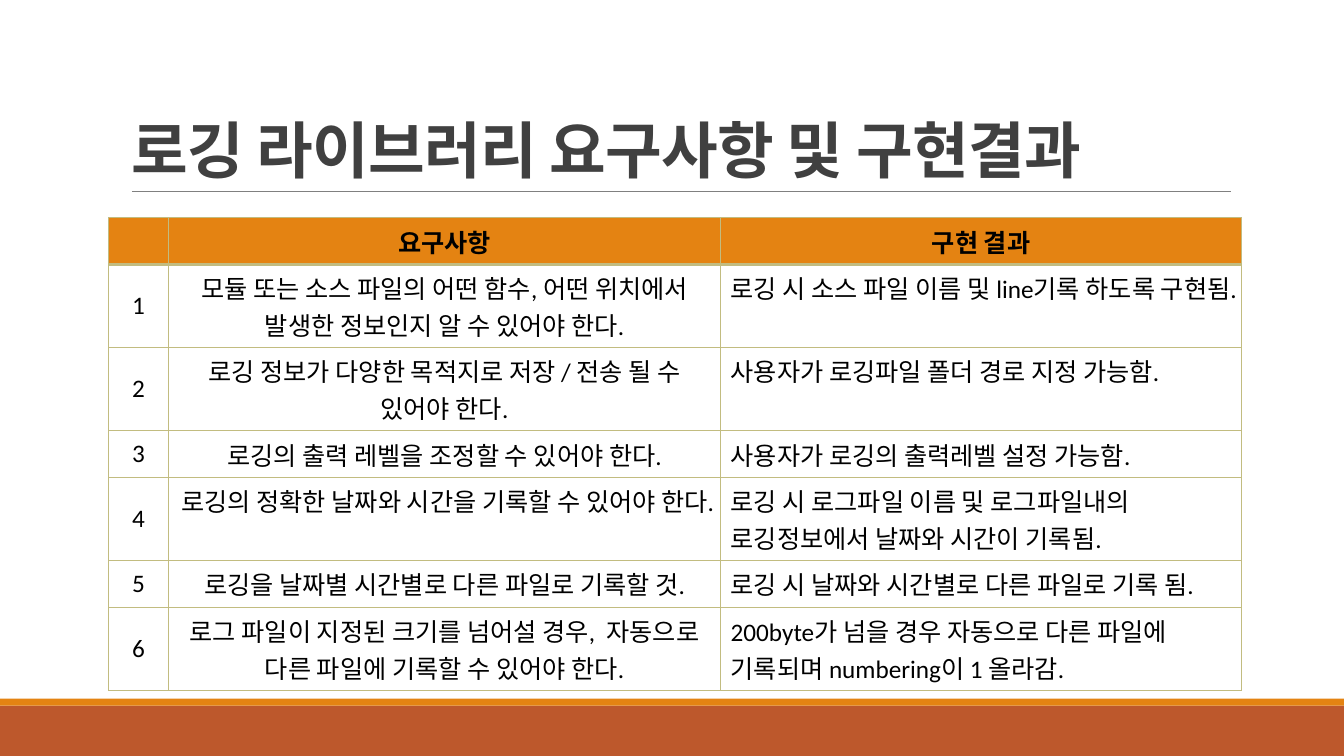
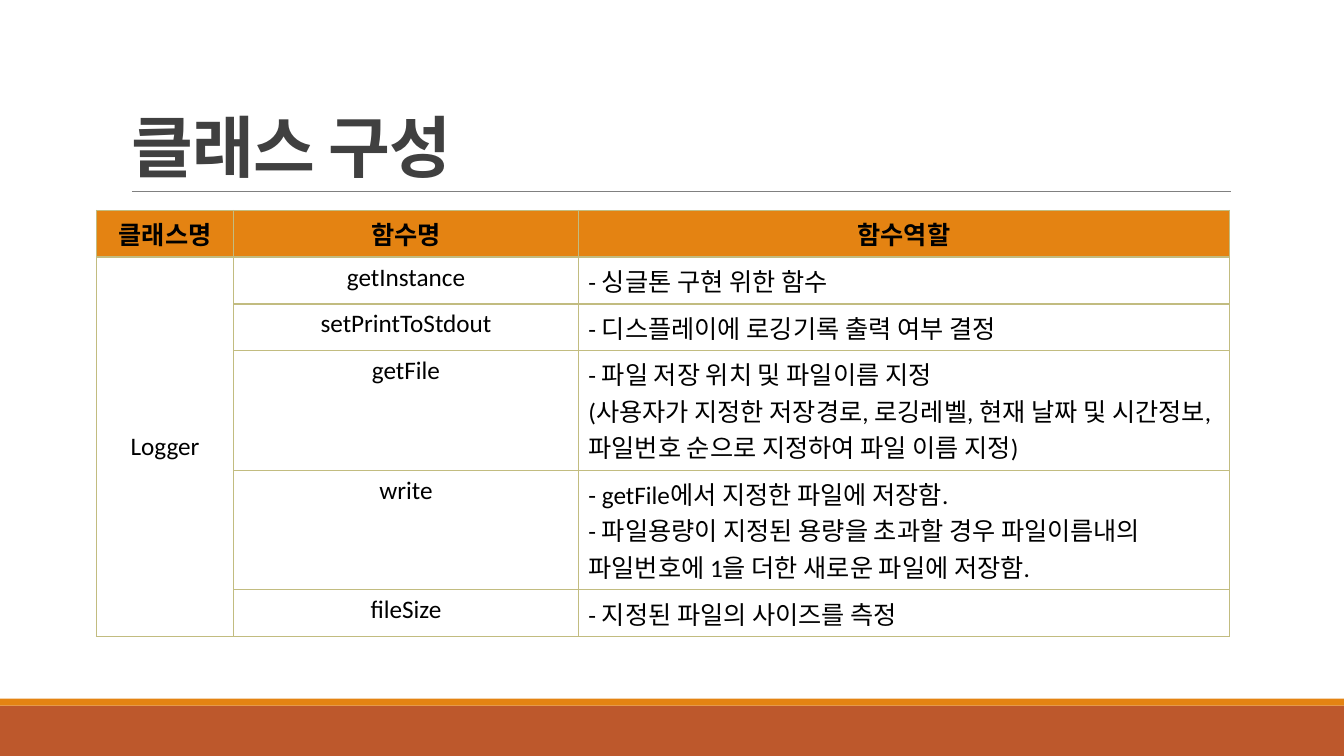
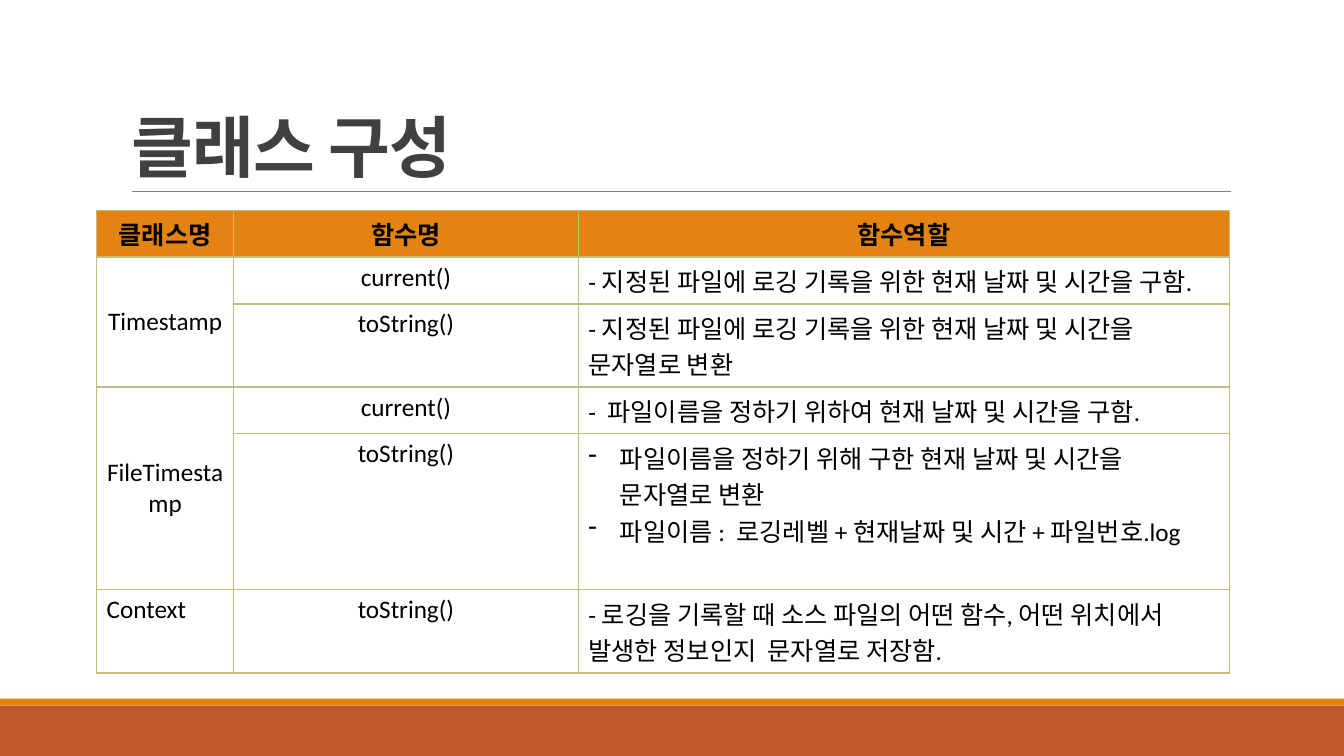
import pptx
import pptx.dml.color
import pptx.enum.shapes
import pptx.enum.text
import pptx.oxml.ns
import pptx.util
from lxml import etree

Pt = pptx.util.Pt
ALIGN = pptx.enum.text.PP_ALIGN
ANCHOR = pptx.enum.text.MSO_ANCHOR
qn = pptx.oxml.ns.qn


def rgb(value):
    return pptx.dml.color.RGBColor.from_string(value)


class Deck:
    WIDTH, HEIGHT = 960, 540
    ORANGE, RUST = "E48312", "BD582C"
    RULE, BORDER = "808080", "C2BC80"
    TITLE = {"name": "Calibri", "bold": True}
    HEADER = {"name": "Calibri", "size": Pt(18), "bold": True}
    BODY = {"name": "Calibri", "size": Pt(18), "bold": False}

    def __init__(self):
        self.prs = pptx.Presentation()
        self.prs.slide_width, self.prs.slide_height = Pt(self.WIDTH), Pt(self.HEIGHT)
        self.s = None

    def slide(self, title, size):
        self.s = self.prs.slides.add_slide(self.prs.slide_layouts[5])
        self.band(504, 36, self.RUST)
        self.band(499, 5, self.ORANGE)
        self.rule(94.3, 879.1, 136.8)
        self.title(title, size)

    def band(self, top, height, color):
        sp = self.s.shapes.add_shape(
            pptx.enum.shapes.MSO_SHAPE.RECTANGLE, 0, Pt(top), Pt(self.WIDTH), Pt(height))
        sp.shadow.inherit = False
        sp.fill.solid()
        sp.fill.fore_color.rgb = rgb(color)
        sp.line.fill.background()

    def rule(self, left, right, y):
        line = self.s.shapes.add_connector(
            pptx.enum.shapes.MSO_CONNECTOR.STRAIGHT, Pt(left), Pt(y), Pt(right), Pt(y))
        line.line.color.rgb = rgb(self.RULE)
        line.line.width = Pt(0.5)
        etree.SubElement(line._element.spPr, qn("a:effectLst"))

    def font(self, r, style, color):
        for name, value in style.items():
            setattr(r.font, name, value)
        r.font.color.rgb = rgb(color)

    def title(self, text, size):
        sp = self.s.shapes.title
        sp.left, sp.top, sp.width, sp.height = Pt(86.4), Pt(22.3), Pt(792), Pt(114.5)
        tf = sp.text_frame
        tf.word_wrap = True
        tf.auto_size = pptx.enum.text.MSO_AUTO_SIZE.NONE
        tf.vertical_anchor = ANCHOR.BOTTOM
        p = tf.paragraphs[0]
        p.alignment, p.line_spacing = ALIGN.LEFT, 0.85
        r = p.add_run()
        r.text = text
        self.font(r, {**self.TITLE, "size": Pt(size)}, "404040")
        r._r.get_or_add_rPr().set("spc", "-50")

    def borders(self, cell, bottom):
        tcPr = cell._tc.get_or_add_tcPr()
        for side, width in {"L": 1, "R": 1, "T": 1, "B": bottom}.items():
            ln = etree.SubElement(tcPr, qn(f"a:ln{side}"), w=str(Pt(width)))
            fill = etree.SubElement(ln, qn("a:solidFill"))
            etree.SubElement(fill, qn("a:srgbClr"), val=self.BORDER)

    def dash(self, p):
        """Give the paragraph a hanging dash bullet."""
        pPr = p._p.get_or_add_pPr()
        pPr.set("marL", str(Pt(22.5)))
        pPr.set("indent", str(-Pt(22.5)))
        etree.SubElement(pPr, qn("a:buChar"), char="-")

    def cell_text(self, cell, text, style, align):
        """Write a string, or a list as dash bullets, into a cell."""
        bulleted = isinstance(text, list)
        tf = cell.text_frame
        for i, part in enumerate(text if bulleted else text.split("\n")):
            p = tf.add_paragraph() if i else tf.paragraphs[0]
            p.alignment = align
            if bulleted:
                self.dash(p)
            if part:
                r = p.add_run()
                r.text = part
                self.font(r, style, "000000")

    def place(self, cell, align, anchor):
        cell.vertical_anchor = anchor
        for p in cell.text_frame.paragraphs:
            p.alignment = align

    def table(self, left, top, widths, header, rows):
        """rows holds (line count, texts); None continues the cell above."""
        rows = [(1, header)] + rows
        heights = [7.4 + 26 * lines for lines, _ in rows]
        table = self.s.shapes.add_table(
            len(rows), len(widths), Pt(left), Pt(top),
            Pt(sum(widths)), Pt(sum(heights))).table
        table.first_row = table.horz_banding = False
        for column, width in zip(table.columns, widths):
            column.width = Pt(width)
        for i, (_, texts) in enumerate(rows):
            table.rows[i].height = Pt(heights[i])
            for j, text in enumerate(texts):
                cell = table.cell(i, j)
                self.borders(cell, 1 if i else 2)
                if i:
                    cell.fill.background()
                else:
                    cell.fill.solid()
                    cell.fill.fore_color.rgb = rgb(self.ORANGE)
                if text is None:
                    continue
                self.cell_text(cell, text, self.BODY if i else self.HEADER,
                               ALIGN.LEFT if i and j == 2 else ALIGN.CENTER)
                if i and j == 0:
                    cell.vertical_anchor = ANCHOR.MIDDLE
        self.merge_down(table, [texts[0] for _, texts in rows])
        return table

    def merge_down(self, table, names):
        """Join each first-column cell with the None entries below it."""
        starts = [i for i, name in enumerate(names) if name is not None]
        for start, end in zip(starts, starts[1:] + [len(names)]):
            if end - start > 1:
                table.cell(start, 0).merge(table.cell(end - 1, 0))


REQUIREMENTS = [
    (2, "모듈 또는 소스 파일의 어떤 함수, 어떤 위치에서 발생한 정보인지 알 수 있어야 한다.",
     "로깅 시 소스 파일 이름 및 line기록 하도록 구현됨."),
    (2, "로깅 정보가 다양한 목적지로 저장 / 전송 될 수 있어야 한다.",
     "사용자가 로깅파일 폴더 경로 지정 가능함."),
    (1, "로깅의 출력 레벨을 조정할 수 있어야 한다.",
     "사용자가 로깅의 출력레벨 설정 가능함."),
    (2, "로깅의 정확한 날짜와 시간을 기록할 수 있어야 한다.",
     "로깅 시 로그파일 이름 및 로그파일내의 로깅정보에서 날짜와 시간이 기록됨."),
    (1, "로깅을 날짜별 시간별로 다른 파일로 기록할 것.",
     "로깅 시 날짜와 시간별로 다른 파일로 기록 됨."),
    (2, "로그 파일이 지정된 크기를 넘어설 경우,  자동으로 다른 파일에 기록할 수 있어야 한다.",
     "200byte가 넘을 경우 자동으로 다른 파일에 기록되며 numbering이 1 올라감."),
]

LOGGER = [
    (1, ["Logger", "getInstance", "- 싱글톤 구현 위한 함수"]),
    (1, [None, "setPrintToStdout", "- 디스플레이에 로깅기록 출력 여부 결정"]),
    (3, [None, "getFile",
         "- 파일 저장 위치 및 파일이름 지정\n"
         "(사용자가 지정한 저장경로, 로깅레벨, 현재 날짜 및 시간정보, "
         "파일번호 순으로 지정하여 파일 이름 지정)"]),
    (3, [None, "write",
         "- getFile에서 지정한 파일에 저장함.\n"
         "- 파일용량이 지정된 용량을 초과할 경우 파일이름내의 "
         "파일번호에 1을 더한 새로운 파일에 저장함."]),
    (1, [None, "fileSize", "- 지정된 파일의 사이즈를 측정"]),
]

HELPERS = [
    (1, ["Timestamp", "current()",
         "- 지정된 파일에 로깅 기록을 위한 현재 날짜 및 시간을 구함."]),
    (2, [None, "toString()",
         "- 지정된 파일에 로깅 기록을 위한 현재 날짜 및 시간을 문자열로 변환"]),
    (1, ["FileTimestamp", "current()",
         "-  파일이름을 정하기 위하여 현재 날짜 및 시간을 구함."]),
    (4, [None, "toString()",
         ["파일이름을 정하기 위해 구한 현재 날짜 및 시간을 문자열로 변환",
          "파일이름 :  로깅레벨 + 현재날짜 및 시간 + 파일번호.log"]]),
    (2, ["Context", "toString()",
         "- 로깅을 기록할 때 소스 파일의 어떤 함수, 어떤 위치에서 "
         "발생한 정보인지  문자열로 저장함."]),
]


def main():
    deck = Deck()
    deck.slide("로깅 라이브러리 요구사항 및 구현결과", 44)
    deck.table(77.6, 155.5, [42.8, 394.3, 372.2], ["", "요구사항", "구현 결과"],
               [(lines, [str(n), need, result])
                for n, (lines, need, result) in enumerate(REQUIREMENTS, 1)])

    for rows in (LOGGER, HELPERS):
        deck.slide("클래스 구성", 48)
        table = deck.table(69, 150.3, [97.9, 246.3, 465.1],
                           ["클래스명", "함수명", "함수역할"], rows)
    deck.place(table.cell(len(HELPERS), 0), ALIGN.LEFT, ANCHOR.TOP)
    deck.prs.save("out.pptx")


if __name__ == "__main__":
    main()
